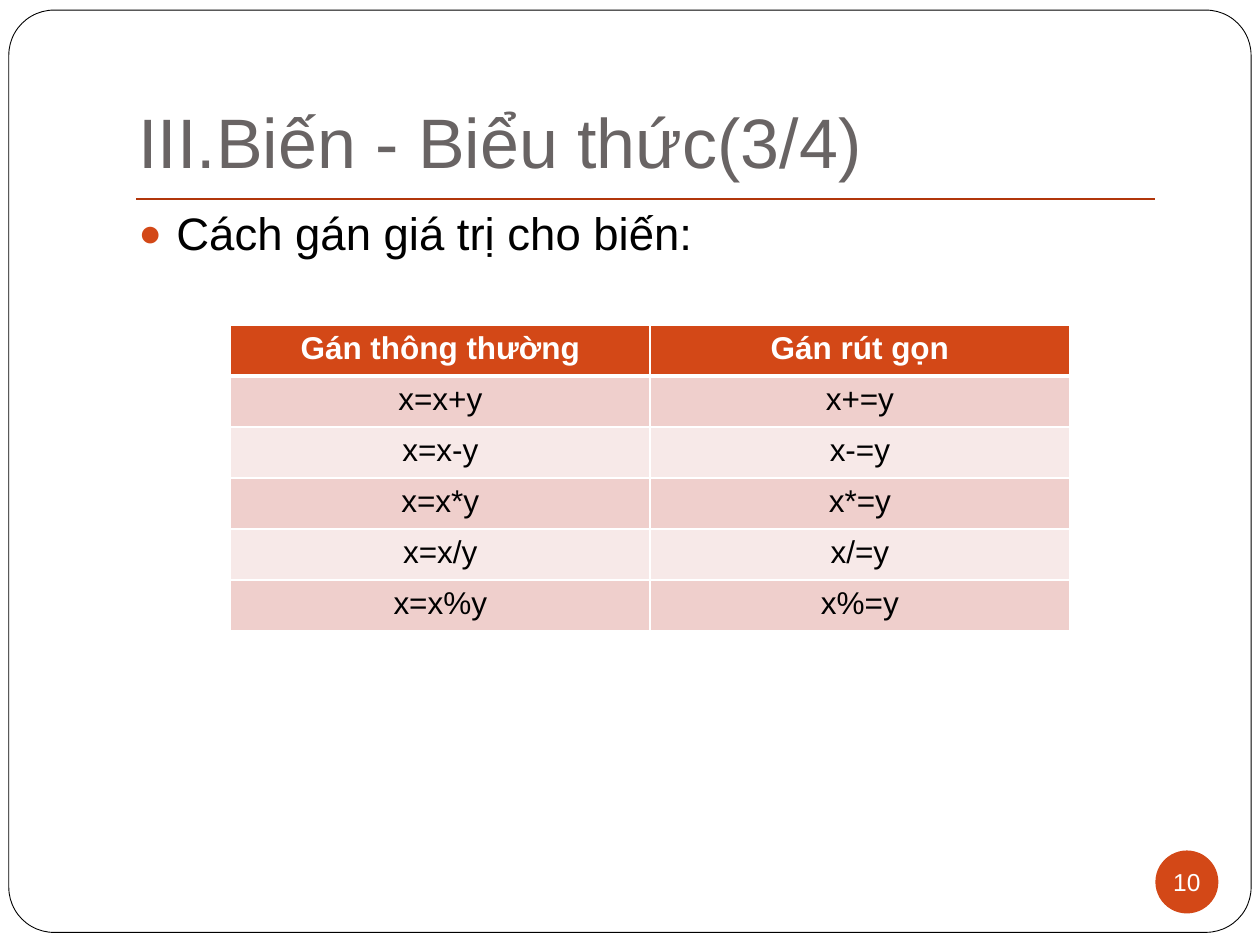
from lxml.etree import SubElement
from pptx import Presentation
from pptx.dml.color import RGBColor
from pptx.enum.shapes import MSO_CONNECTOR, MSO_SHAPE
from pptx.enum.text import MSO_ANCHOR, MSO_AUTO_SIZE, PP_ALIGN
from pptx.oxml import parse_xml
from pptx.oxml.ns import nsdecls, qn
from pptx.util import Inches, Pt

WIDTH, HEIGHT = 10, 7.5
FONT = "Arial"
ACCENT, WHITE, BLACK, GREY = "D34817", "FFFFFF", "000000", "696464"
RULE, BANDS = "B1360B", ("EFCFCC", "F7E9E8")
ASSIGNMENTS = [
    ("Gán thông thường", "Gán rút gọn"),
    *((f"x=x{sign}y", f"x{sign}=y") for sign in "+-*/%"),
]


def color(code):
    return RGBColor.from_string(code)


def place(item, left, top, width, height):
    item.left, item.top = Inches(left), Inches(top)
    item.width, item.height = Inches(width), Inches(height)


def write(frame, text, size, code, align=PP_ALIGN.LEFT, bold=False):
    frame.text = text
    para = frame.paragraphs[0]
    para.alignment = align
    for span in para.runs:
        span.font.name, span.font.size, span.font.bold = FONT, Pt(size), bold
        span.font.color.rgb = color(code)
    return para


def set_margins(frame, left, top, right, bottom):
    frame.margin_left, frame.margin_top = Inches(left), Inches(top)
    frame.margin_right, frame.margin_bottom = Inches(right), Inches(bottom)


def add_panel(page, kind, area, fill, line=None):
    panel = page.shapes.add_shape(kind, *map(Inches, area))
    panel.shadow.inherit = False
    panel.fill.solid()
    panel.fill.fore_color.rgb = color(fill)
    if line:
        panel.line.color.rgb = color(line)
        panel.line.width = Pt(0.5)
    else:
        panel.line.fill.background()
    return panel


def send_to_back(page, *items):
    tree = page.shapes._spTree
    for position, item in enumerate(items, start=2):
        tree.insert(position, item._element)


def add_backdrop(page):
    frame = add_panel(page, MSO_SHAPE.ROUNDED_RECTANGLE,
                      (0.07, 0.08, WIDTH - 0.14, 7.32), WHITE, BLACK)
    frame.adjustments[0] = 0.049
    rule = page.shapes.add_connector(
        MSO_CONNECTOR.STRAIGHT, *map(Inches, (1.08, 1.58, 9.17, 1.58)))
    rule.line.color.rgb = color(RULE)
    rule.line.width = Pt(0.75)
    SubElement(rule._element.spPr, qn("a:effectLst"))
    send_to_back(page, frame, rule)


def fill_title(page, text):
    title = page.shapes.title
    place(title, 1, 0.3, 8.5, 1.25)
    write(title.text_frame, text, 40, GREY)
    title.text_frame.vertical_anchor = MSO_ANCHOR.BOTTOM
    title.text_frame.auto_size = MSO_AUTO_SIZE.NONE
    set_margins(title.text_frame, 0.1, 0.05, 0.1, 0.1)


def fill_body(page, text):
    body = page.placeholders[1]
    place(body, 1, 1.58, 8.5, 5)
    body.text_frame.auto_size = MSO_AUTO_SIZE.NONE
    para = write(body.text_frame, text, 26, BLACK)
    para.space_before = Pt(5.8)
    # Round accent bullet with a hanging indent
    props = para._p.get_or_add_pPr()
    props.set("marL", str(Inches(0.3)))
    props.set("indent", str(-Inches(0.3)))
    bullet_color = SubElement(props, qn("a:buClr"))
    SubElement(bullet_color, qn("a:srgbClr"), val=ACCENT)
    SubElement(props, qn("a:buSzPct"), val="85000")
    SubElement(props, qn("a:buFont"), typeface=FONT)
    SubElement(props, qn("a:buChar"), char="●")


def add_borders(cell, bottom):
    props = cell._tc.get_or_add_tcPr()
    widths = {"lnL": 1, "lnR": 1, "lnT": 1, "lnB": bottom}
    for position, (side, width) in enumerate(widths.items()):
        props.insert(position, parse_xml(
            f'<a:{side} {nsdecls("a")} w="{Pt(width)}"><a:solidFill>'
            f'<a:srgbClr val="{WHITE}"/></a:solidFill></a:{side}>'))


def add_grid(page, rows, left, top, column_width, row_height):
    columns = len(rows[0])
    table = page.shapes.add_table(
        len(rows), columns, Inches(left), Inches(top),
        Inches(column_width * columns), Inches(row_height * len(rows))).table
    for column in table.columns:
        column.width = Inches(column_width)
    for row, texts in enumerate(rows):
        header = row == 0
        for column, text in enumerate(texts):
            cell = table.cell(row, column)
            write(cell.text_frame, text, 18, WHITE if header else BLACK,
                  PP_ALIGN.CENTER, header)
            cell.fill.solid()
            cell.fill.fore_color.rgb = color(
                ACCENT if header else BANDS[(row - 1) % 2])
            add_borders(cell, 3 if header else 1)


def add_page_number(page, number):
    badge = add_panel(page, MSO_SHAPE.OVAL, (9.17, 6.75, 0.5, 0.5), ACCENT)
    write(badge.text_frame, number, 14, WHITE, PP_ALIGN.CENTER)
    badge.text_frame.word_wrap = False
    badge.text_frame.vertical_anchor = MSO_ANCHOR.MIDDLE
    set_margins(badge.text_frame, 0, 0, 0, 0)


def main():
    deck = Presentation()
    deck.slide_width, deck.slide_height = Inches(WIDTH), Inches(HEIGHT)
    page = deck.slides.add_slide(deck.slide_layouts[1])
    # Frame and heading
    add_backdrop(page)
    fill_title(page, "III.Biến - Biểu thức(3/4)")
    add_page_number(page, "10")
    # Content
    fill_body(page, "Cách gán giá trị cho biến:")
    add_grid(page, ASSIGNMENTS, 1.83, 2.58, 3.33, 0.405)
    deck.save("out.pptx")


main()
